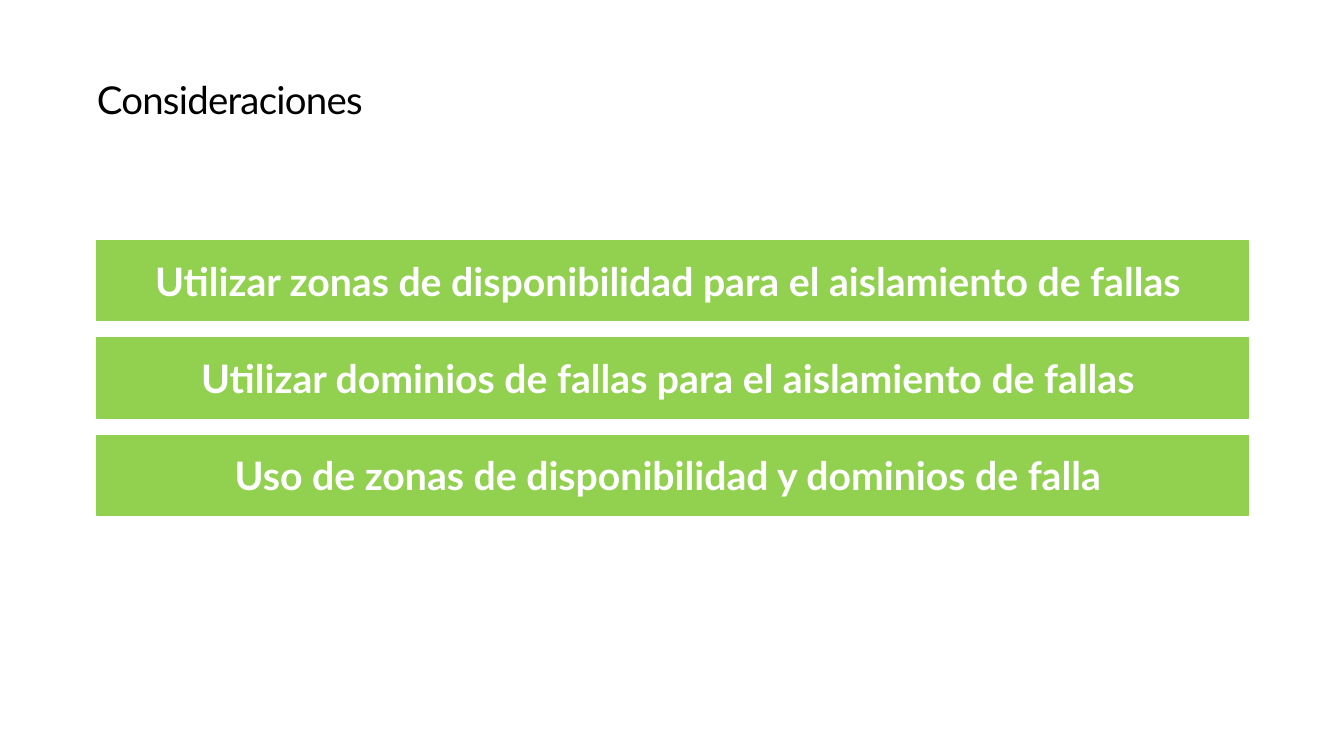
from pptx import Presentation
from pptx.dml.color import RGBColor
from pptx.enum.shapes import MSO_SHAPE
from pptx.enum.text import MSO_ANCHOR, MSO_AUTO_SIZE, PP_ALIGN
from pptx.util import Inches, Pt

RECTANGLE = MSO_SHAPE.RECTANGLE
MIDDLE = MSO_ANCHOR.MIDDLE
NO_AUTOFIT = MSO_AUTO_SIZE.NONE
LEFT, CENTER = PP_ALIGN.LEFT, PP_ALIGN.CENTER

GREEN = RGBColor(0x92, 0xD0, 0x50)
WHITE = RGBColor(0xFF, 0xFF, 0xFF)
BLACK = RGBColor(0x00, 0x00, 0x00)
FONT = "Lato"
TITLE_ONLY = 5

SLIDE_WIDTH, SLIDE_HEIGHT = Inches(13.33), Inches(7.5)
MARGIN = Inches(0.96)
TITLE_BOX = (MARGIN, Inches(0.65), Inches(5.19), Inches(0.66))
BARS_BOX = (MARGIN, Inches(2.39), Inches(11.42), Inches(2.72))
BAR_GAP = Inches(0.17)

# The space that ends each line counts in its centring
CONSIDERATIONS = [
    "Utilizar zonas de disponibilidad para el aislamiento de fallas ",
    "Utilizar dominios de fallas para el aislamiento de fallas ",
    "Uso de zonas de disponibilidad y dominios de falla ",
]


def write_line(shape, text, size, color, bold, alignment):
    frame = shape.text_frame
    frame.text = text
    frame.word_wrap = True
    frame.auto_size = NO_AUTOFIT
    frame.vertical_anchor = MIDDLE
    paragraph = frame.paragraphs[0]
    paragraph.alignment = alignment
    run = paragraph.runs[0]
    run.font.name = FONT
    run.font.size = Pt(size)
    run.font.bold = bold
    run.font.color.rgb = color
    return run


def add_title(slide, box, text):
    title = slide.shapes.title
    title.left, title.top, title.width, title.height = box
    run = write_line(title, text, 27.4, BLACK, False, LEFT)
    run.font._element.set("spc", "-50")
    frame = title.text_frame
    frame.margin_left, frame.margin_right = 0, Inches(0.16)
    frame.margin_top = frame.margin_bottom = Inches(0.1)


def add_bars(slide, box, texts):
    """Stack one bar per text, evenly spaced over the box."""
    left, top, width, height = box
    pitch = (height + BAR_GAP) // len(texts)
    for row, text in enumerate(texts):
        bar = slide.shapes.add_shape(
            RECTANGLE, left, top + row * pitch, width, pitch - BAR_GAP)
        bar.shadow.inherit = False
        bar.fill.solid()
        bar.fill.fore_color.rgb = GREEN
        bar.line.color.rgb = GREEN
        bar.line.width = Pt(0.85)
        write_line(bar, text, 28, WHITE, True, CENTER)


def main():
    presentation = Presentation()
    presentation.slide_width = SLIDE_WIDTH
    presentation.slide_height = SLIDE_HEIGHT
    slide = presentation.slides.add_slide(presentation.slide_layouts[TITLE_ONLY])
    add_title(slide, TITLE_BOX, "Consideraciones")
    add_bars(slide, BARS_BOX, CONSIDERATIONS)
    presentation.save("out.pptx")


if __name__ == "__main__":
    main()
